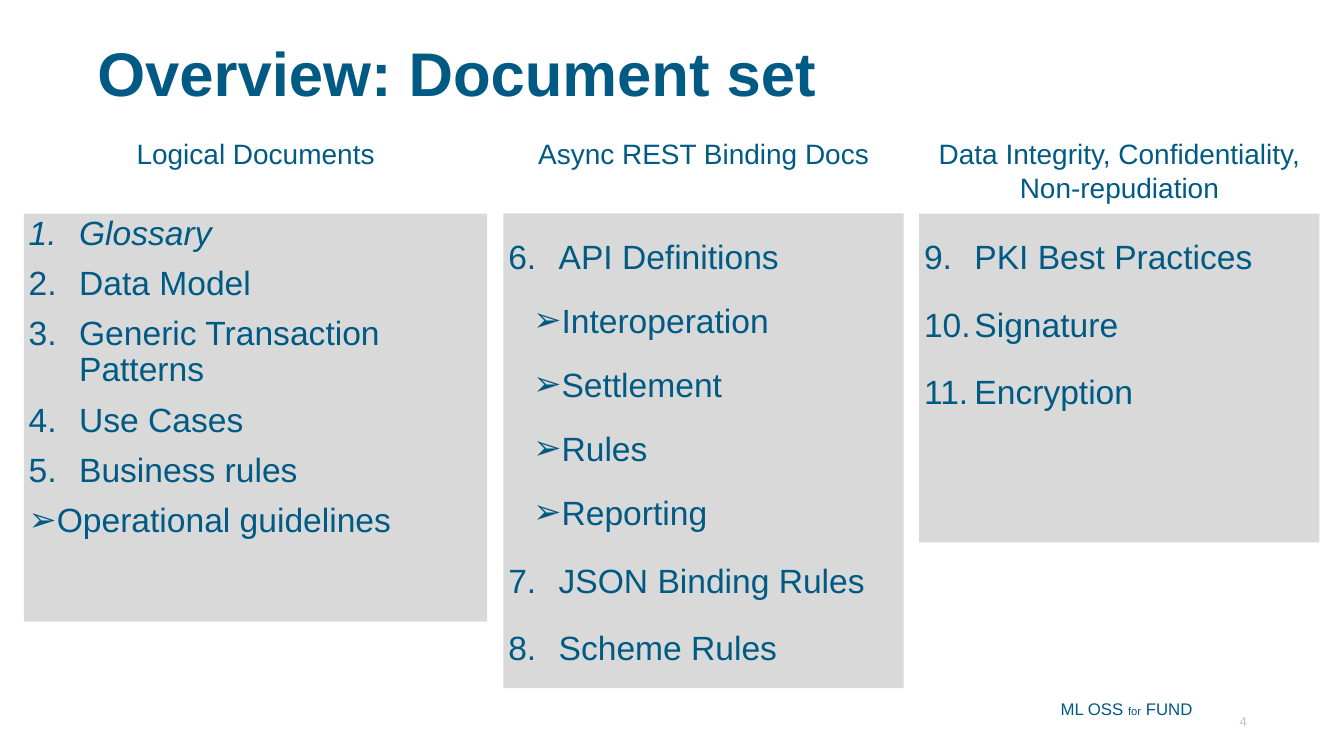
from lxml.etree import SubElement
from pptx import Presentation
from pptx.dml.color import RGBColor
from pptx.enum.shapes import MSO_SHAPE as Shape
from pptx.enum.text import MSO_ANCHOR as Anchor, PP_ALIGN as Align
from pptx.oxml.ns import qn
from pptx.util import Pt

PX = 12700
ARROW = "➢"


def color(hex_code):
    return RGBColor.from_string(hex_code)


class Deck:
    ink = "005A83"
    panel_fill = "D9D9D9"
    muted = "BFBFBF"
    font = "Arial"
    body_size = 48

    def __init__(self, width, height):
        self.prs = Presentation()
        self.prs.slide_width = width * PX
        self.prs.slide_height = height * PX
        self.slide = self.prs.slides.add_slide(self.prs.slide_layouts[6])

    def run(self, paragraph, words, size, hue=None, font=None, bold=False, italic=False):
        run = paragraph.add_run()
        run.text = words
        run.font.size = Pt(size)
        run.font.name = font or self.font
        run.font.bold = bold
        run.font.italic = italic
        run.font.color.rgb = color(hue or self.ink)

    def label(self, box, runs, align=Align.LEFT, anchor=Anchor.TOP, spacing=1.0, **style):
        frame = self.slide.shapes.add_textbox(*(side * PX for side in box)).text_frame
        frame.word_wrap = True
        frame.vertical_anchor = anchor
        paragraph = frame.paragraphs[0]
        paragraph.alignment = align
        paragraph.line_spacing = spacing
        for words, size in runs:
            self.run(paragraph, words, size, **style)

    def bullet(self, paragraph, mark, start, margin, hanging):
        props = paragraph._p.get_or_add_pPr()
        props.set("marL", str(margin * PX))
        props.set("indent", str(-hanging * PX))
        SubElement(props, qn("a:buFont"), typeface=self.font)
        if mark == ARROW:
            SubElement(props, qn("a:buChar"), char=ARROW)
        else:
            SubElement(props, qn("a:buAutoNum"), type="arabicPeriod", startAt=str(start))

    def panel(self, box, items, start, spacing, gap):
        panel = self.slide.shapes.add_shape(Shape.RECTANGLE, *(side * PX for side in box))
        panel.shadow.inherit = False
        panel.fill.solid()
        panel.fill.fore_color.rgb = color(self.panel_fill)
        panel.line.fill.background()
        frame = panel.text_frame
        frame.word_wrap = True
        frame.vertical_anchor = Anchor.TOP
        for index, (words, mark, level, italic) in enumerate(items):
            paragraph = frame.add_paragraph() if index else frame.paragraphs[0]
            paragraph.alignment = Align.LEFT
            paragraph.level = level
            paragraph.line_spacing = spacing
            paragraph.space_before = Pt((gap // 2 if level else gap) if index else 0)
            margin, hanging = (54, 18) if level else (36, 36) if mark == ARROW else (72, 72)
            self.bullet(paragraph, mark, start, margin, hanging)
            self.run(paragraph, words, self.body_size, italic=italic)


def numbered(words, italic=False):
    return words, None, 0, italic


def arrowed(words, level=0):
    return words, ARROW, level, False


def main():
    deck = Deck(1920, 1080)
    deck.label((132, 58, 1656, 104), [("Overview: Document set", 88)],
               anchor=Anchor.MIDDLE, spacing=0.9, bold=True)

    logical = [numbered("Glossary", italic=True)]
    logical += [numbered(words) for words in
                ("Data Model", "Generic Transaction Patterns", "Use Cases", "Business rules")]
    logical += [arrowed("Operational guidelines")]
    binding = [numbered("API Definitions")]
    binding += [arrowed(words, 1) for words in
                ("Interoperation", "Settlement", "Rules", "Reporting")]
    binding += [numbered("JSON Binding Rules"), numbered("Scheme Rules")]
    security = [numbered(words) for words in ("PKI Best Practices", "Signature", "Encryption")]

    columns = [
        ("Logical Documents", 34, 662, 583, logical, 1, 0.9, 20),
        ("Async REST Binding Docs", 719, 572, 678, binding, 6, 1.5, 10),
        ("Data Integrity, Confidentiality, Non-repudiation", 1313, 572, 470, security, 9, 1.5, 10),
    ]
    for heading, left, width, height, items, start, spacing, gap in columns:
        deck.label((left, 192, width, 104 if len(heading) > 30 else 55),
                   [(heading, 40)], align=Align.CENTER)
        deck.panel((left, 305, width, height), items, start, spacing, gap)

    deck.label((1508, 994, 258, 36), [("ML OSS ", 24), ("for", 16), (" FUND", 24)])
    deck.label((1356, 1001, 432, 58), [("4", 20)], align=Align.RIGHT,
               anchor=Anchor.MIDDLE, hue=deck.muted, font="Calibri")
    deck.prs.save("out.pptx")


if __name__ == "__main__":
    main()
